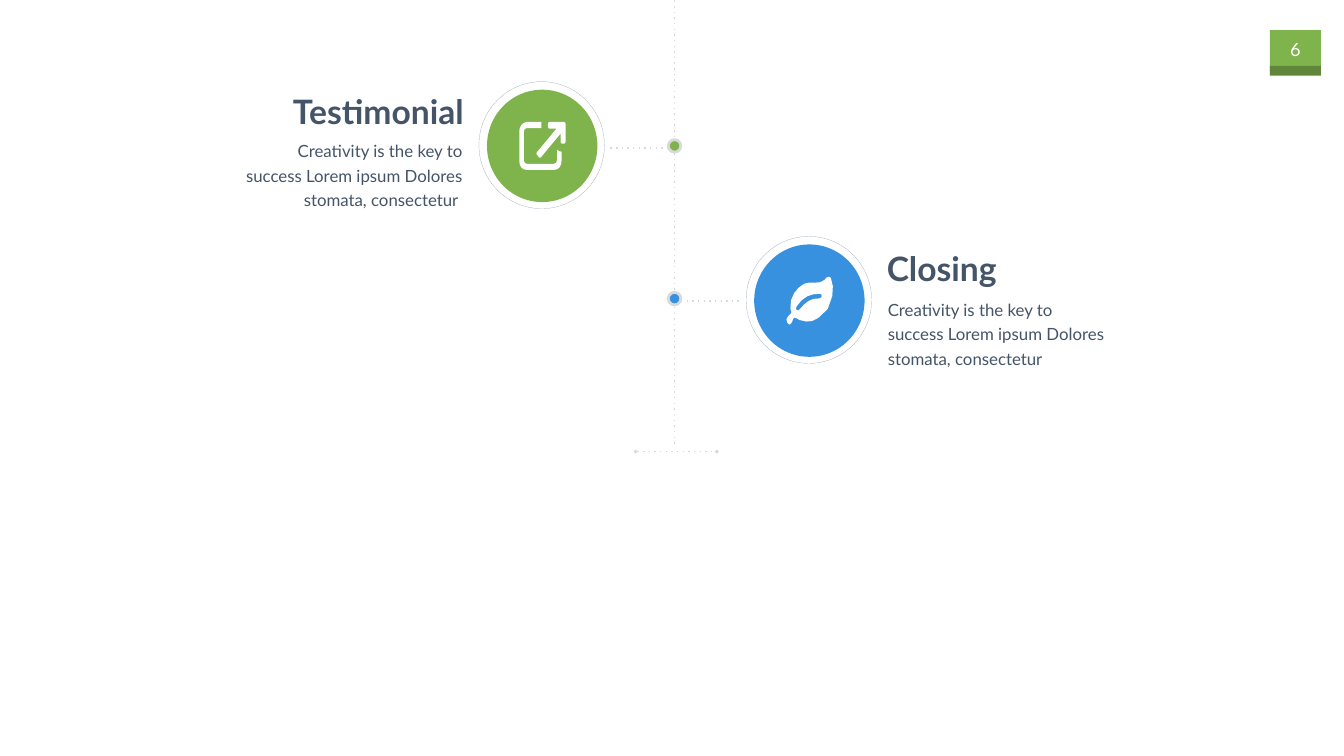
from pptx import Presentation
from pptx.dml.color import RGBColor
from pptx.enum.shapes import MSO_CONNECTOR, MSO_SHAPE
from pptx.enum.text import MSO_AUTO_SIZE, PP_ALIGN
from pptx.oxml.ns import qn
from pptx.util import Inches, Pt
from lxml import etree

RECTANGLE = MSO_SHAPE.RECTANGLE
OVAL = MSO_SHAPE.OVAL
STRAIGHT = MSO_CONNECTOR.STRAIGHT
GROW = MSO_AUTO_SIZE.SHAPE_TO_FIT_TEXT
LEFT, CENTER, RIGHT = PP_ALIGN.LEFT, PP_ALIGN.CENTER, PP_ALIGN.RIGHT

FONT = "Lato"
GREEN, DARK_GREEN, BLUE = "7FB34C", "5F8639", "3891DE"
WHITE, INK, PALE, RING = "FFFFFF", "445469", "D9D9D9", "8497B0"
AXIS_X = 13.38
DOT_SIZE = 0.25

# Icon outlines in hundredths of an inch from the icon's top left corner
SHARE_ICON = [
    [(75, 55), (79, 58), (84, 59), (84, 76), (83, 84), (80, 90), (75, 94),
     (69, 95), (15, 95), (9, 94), (4, 90), (1, 84), (0, 76), (0, 19), (1, 12),
     (4, 6), (9, 2), (15, 0), (44, 0), (44, 12), (15, 12), (11, 14), (9, 19),
     (9, 76), (11, 81), (15, 83), (69, 83), (73, 81), (75, 76)],
    [(92, 9), (92, 39), (91, 42), (89, 43), (85, 43), (83, 42), (82, 39),
     (82, 23), (43, 70), (41, 71), (39, 70), (35, 65), (34, 63), (35, 60),
     (74, 13), (60, 13), (58, 12), (57, 9), (57, 4), (58, 1), (60, 0),
     (89, 0), (91, 1), (92, 4)],
]
LEAF_ICON = [
    [(88, 2), (92, 19), (91, 38), (82, 64), (63, 82), (51, 88), (40, 89),
     (26, 86), (21, 83), (16, 81), (13, 84), (12, 88), (9, 93), (6, 95),
     (2, 92), (0, 85), (3, 79), (9, 73), (10, 70), (8, 64), (9, 47), (15, 33),
     (24, 22), (35, 14), (44, 12), (54, 12), (66, 11), (71, 9), (76, 6),
     (79, 2), (84, 0)],
    [(66, 43), (68, 42), (70, 39), (69, 35), (66, 34), (53, 35), (41, 39),
     (30, 47), (20, 59), (19, 63), (20, 66), (23, 67), (26, 65), (35, 55),
     (44, 48), (54, 44)],
]


def color(hex_string):
    return RGBColor.from_string(hex_string)


def style_line(line, hex_string, width):
    line.color.rgb = color(hex_string)
    line.width = Pt(width)


def add_line_part(shape, tag, **attributes):
    outline = shape.line._get_or_add_ln()
    etree.SubElement(outline, qn(tag), **attributes)


def add_filled(page, kind, left, top, width, height, fill=None):
    shape = page.shapes.add_shape(
        kind, Inches(left), Inches(top), Inches(width), Inches(height))
    shape.shadow.inherit = False
    if fill:
        shape.fill.solid()
        shape.fill.fore_color.rgb = color(fill)
    else:
        shape.fill.background()
    shape.line.fill.background()
    return shape


def add_text(page, text, left, top, width, height, size, hex_string,
             align, bold=False, wrap=False, spacing=None):
    box = page.shapes.add_textbox(
        Inches(left), Inches(top), Inches(width), Inches(height))
    frame = box.text_frame
    frame.word_wrap = wrap
    frame.auto_size = GROW
    frame.margin_left = frame.margin_right = Inches(0.2)
    frame.margin_top = frame.margin_bottom = Inches(0.1)
    para = frame.paragraphs[0]
    para.text = text
    para.alignment = align
    para.line_spacing = spacing
    para.font.name = FONT
    para.font.size = Pt(size)
    para.font.bold = bold
    para.font.color.rgb = color(hex_string)


def add_dotted_line(page, x1, y1, x2, y2, ends=None):
    connector = page.shapes.add_connector(
        STRAIGHT, Inches(x1), Inches(y1), Inches(x2), Inches(y2))
    style_line(connector.line, PALE, 2)
    add_line_part(connector, "a:prstDash", val="dot")
    if ends:
        add_line_part(connector, "a:headEnd", type=ends)
        add_line_part(connector, "a:tailEnd", type=ends)
    etree.SubElement(connector._element.spPr, qn("a:effectLst"))


def add_icon(page, contours, left, top):
    builder = page.shapes.build_freeform(*contours[0][0], scale=Inches(0.01))
    for index, points in enumerate(contours):
        if index:
            builder.move_to(*points[0])
        builder.add_line_segments(points[1:], close=True)
    icon = builder.convert_to_shape(Inches(left), Inches(top))
    icon.shadow.inherit = False
    icon.fill.solid()
    icon.fill.fore_color.rgb = color(WHITE)
    icon.line.fill.background()


def add_medallion(page, left, top, fill, icon):
    add_filled(page, OVAL, left + 0.16, top + 0.16, 2.19, 2.23, fill)
    ring = add_filled(page, OVAL, left, top, 2.49, 2.52)
    style_line(ring.line, RING, 0.25)
    add_line_part(ring, "a:prstDash", val="sysDash")
    add_icon(page, icon, left + 0.8, top + 0.8)


def add_milestone(page, dot_top, fill, branch_left):
    dot = add_filled(page, OVAL, AXIS_X - DOT_SIZE / 2, dot_top,
                     DOT_SIZE, DOT_SIZE, fill)
    style_line(dot.line, PALE, 4)
    branch_y = dot_top + 0.17
    add_dotted_line(page, branch_left, branch_y, branch_left + 1.15, branch_y)


def add_page_number(page):
    add_filled(page, RECTANGLE, 25.19, 0.6, 1.01, 0.8, GREEN)
    for top in (1.4, 1.31):
        add_filled(page, RECTANGLE, 25.19, top, 1.01, 0.1, DARK_GREEN)
    add_text(page, "6", 25.27, 0.66, 0.85, 0.64, 26, WHITE, CENTER)


def main():
    deck = Presentation()
    deck.slide_width, deck.slide_height = Inches(26.66), Inches(15)
    page = deck.slides.add_slide(deck.slide_layouts[6])
    add_page_number(page)

    # Central axis and its foot
    for top in (0.01, 3.04, 6.09):
        add_dotted_line(page, AXIS_X, top, AXIS_X, top + 2.73)
    add_dotted_line(page, 12.61, 8.96, 14.22, 8.96, ends="diamond")

    # Steps on either side of the axis
    add_medallion(page, 9.5, 1.62, GREEN, SHARE_ICON)
    add_milestone(page, 2.77, GREEN, 12.11)
    add_medallion(page, 14.8, 4.69, BLUE, LEAF_ICON)
    add_milestone(page, 5.8, BLUE, 13.51)

    # Step titles and descriptions
    description = ("Creativity is the key to success Lorem ipsum Dolores "
                   "stomata, consectetur")
    add_text(page, "Testimonial", 5.52, 1.7, 3.88, 1.01, 48, INK, RIGHT,
             bold=True)
    add_text(page, description + " ", 4.59, 2.62, 4.78, 1.64, 24, INK, RIGHT,
             wrap=True, spacing=1.2)
    add_text(page, "Closing", 17.39, 4.82, 2.65, 1.01, 48, INK, LEFT,
             bold=True)
    add_text(page, description, 17.41, 5.77, 4.78, 1.64, 24, INK, LEFT,
             wrap=True, spacing=1.2)

    deck.save("out.pptx")


if __name__ == "__main__":
    main()
